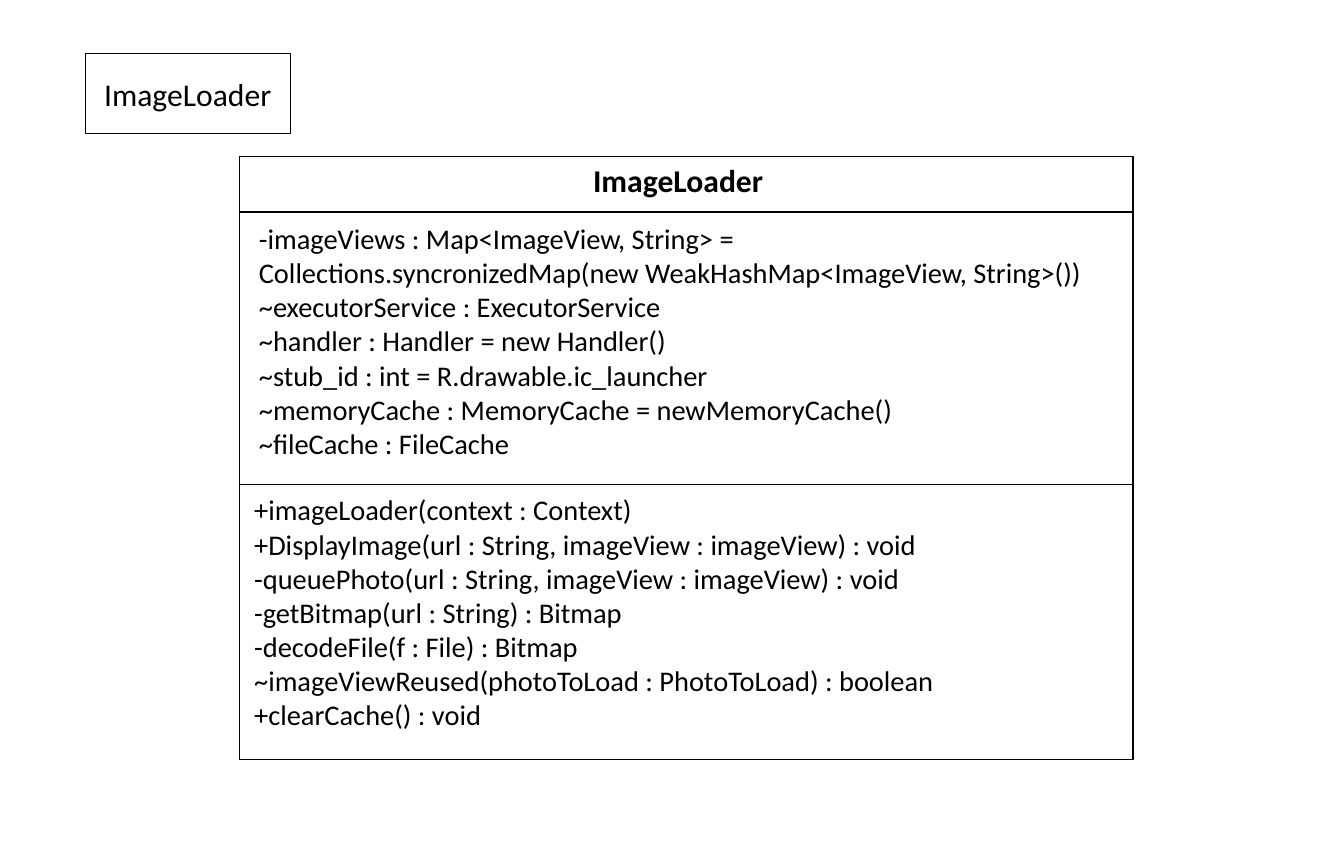
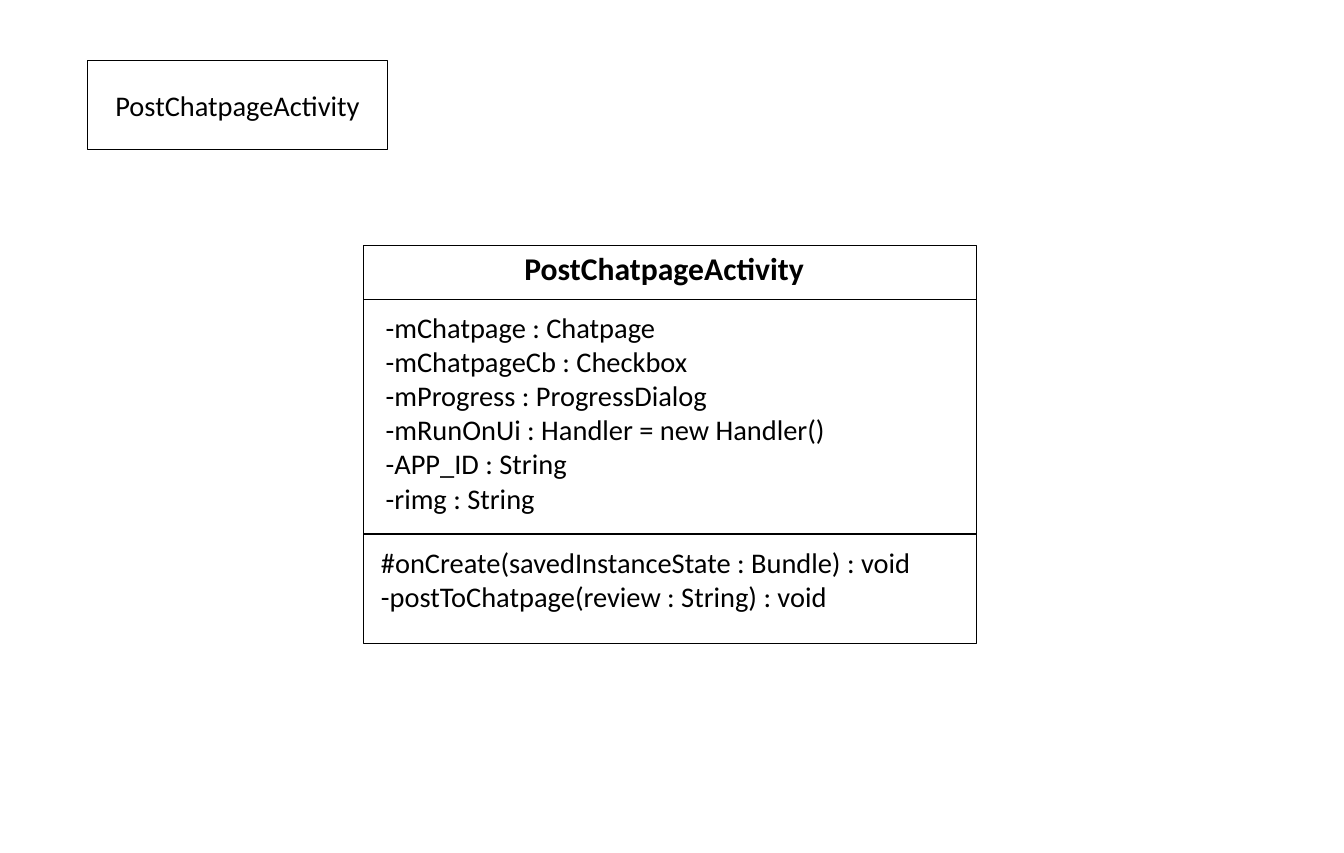
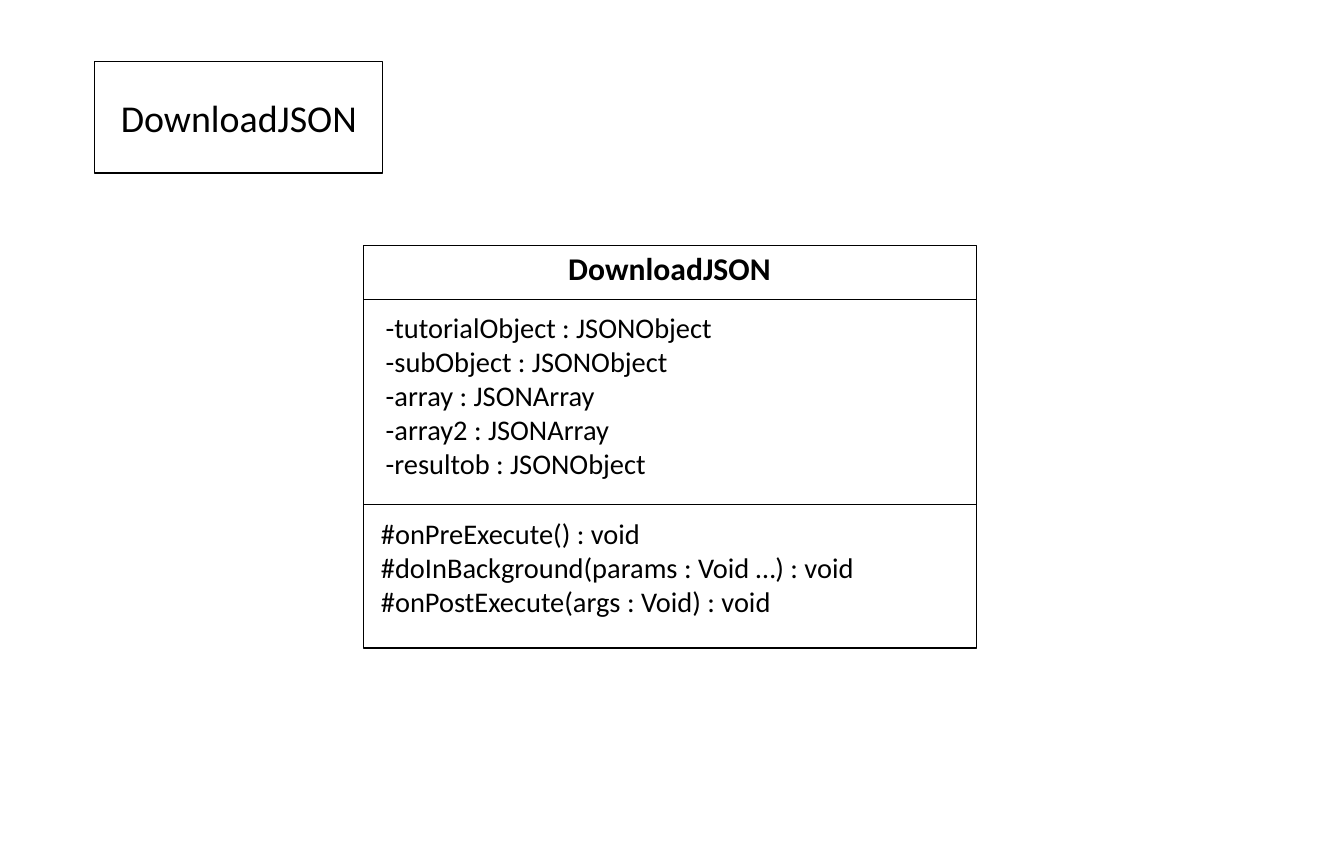
from dataclasses import dataclass
from typing import NamedTuple

from lxml.etree import SubElement
from pptx import Presentation
from pptx.dml.color import RGBColor
from pptx.enum.shapes import MSO_CONNECTOR as Conn, MSO_SHAPE as Shp
from pptx.enum.text import MSO_ANCHOR as Anchor, MSO_AUTO_SIZE as Fit, PP_ALIGN as Align
from pptx.oxml.ns import qn
from pptx.util import Pt

# Shared look: 96 px to the inch
PX = 9525
SLIDE_W, SLIDE_H = 1134, 720
COLORS = {"ink": "000000", "paper": "FFFFFF"}
FONT = "Calibri"
BOX_LINE, RULE_LINE = 0.75, 1
HEAD_SIZE, BODY_SIZE = 20, 18


class Rect(NamedTuple):
    x: int
    y: int
    w: int
    h: int


@dataclass
class TextBlock:
    rect: Rect
    paragraphs: list[str]


@dataclass
class ClassSlide:
    name: str
    label: Rect
    label_size: int
    frame: Rect
    heading: Rect
    dividers: tuple[int, int]
    attributes: TextBlock
    methods: TextBlock


def emu(*lengths: int) -> list[int]:
    return [n * PX for n in lengths]


def rgb(name: str) -> RGBColor:
    return RGBColor.from_string(COLORS[name])


def write(tf, paragraphs: list[str], size: int, bold: bool = False, align=Align.LEFT) -> None:
    for i, text in enumerate(paragraphs):
        p = tf.paragraphs[0] if i == 0 else tf.add_paragraph()
        p.alignment = align
        for j, line in enumerate(text.split("\n")):
            if j:
                p.add_line_break()
            r = p.add_run()
            r.text = line
            for key, value in {"name": FONT, "size": Pt(size), "bold": bold}.items():
                setattr(r.font, key, value)
            r.font.color.rgb = rgb("ink")


def add_box(s, rect: Rect):
    sp = s.shapes.add_shape(Shp.RECTANGLE, *emu(*rect))
    sp.shadow.inherit = False
    sp.fill.solid()
    sp.fill.fore_color.rgb = rgb("paper")
    sp.line.color.rgb = rgb("ink")
    sp.line.width = Pt(BOX_LINE)
    return sp


def add_text(s, block: TextBlock, size: int, bold: bool = False) -> None:
    tf = s.shapes.add_textbox(*emu(*block.rect)).text_frame
    for key, value in {"word_wrap": True, "auto_size": Fit.SHAPE_TO_FIT_TEXT}.items():
        setattr(tf, key, value)
    write(tf, block.paragraphs, size, bold)


def add_divider(s, frame: Rect, y: int) -> None:
    line = s.shapes.add_connector(Conn.STRAIGHT, *emu(frame.x, y, frame.x + frame.w, y))
    line.line.color.rgb = rgb("ink")
    line.line.width = Pt(RULE_LINE)
    SubElement(line._element.spPr, qn("a:effectLst"))


def add_class_slide(prs, c: ClassSlide) -> None:
    s = prs.slides.add_slide(prs.slide_layouts[6])
    # Label in the corner
    tf = add_box(s, c.label).text_frame
    tf.vertical_anchor = Anchor.MIDDLE
    write(tf, [c.name], c.label_size, align=Align.CENTER)
    # Class diagram
    add_box(s, c.frame)
    for y in c.dividers:
        add_divider(s, c.frame, y)
    add_text(s, TextBlock(c.heading, [c.name]), HEAD_SIZE, bold=True)
    for block in (c.attributes, c.methods):
        add_text(s, block, BODY_SIZE)


CLASSES = [
    ClassSlide(
        "ImageLoader", Rect(72, 45, 173, 68), 20,
        frame=Rect(202, 132, 754, 509),
        heading=Rect(491, 131, 204, 42),
        dividers=(179, 409),
        attributes=TextBlock(Rect(209, 182, 746, 213), [
            "-imageViews : Map<ImageView, String> = "
            "Collections.syncronizedMap(new WeakHashMap<ImageView, String>())\n"
            "~executorService : ExecutorService\n"
            "~handler : Handler = new Handler()",
            "~stub_id : int = R.drawable.ic_launcher",
            "~memoryCache : MemoryCache = newMemoryCache()",
            "~fileCache : FileCache",
        ]),
        methods=TextBlock(Rect(205, 411, 768, 213), [
            "+imageLoader(context : Context)\n"
            "+DisplayImage(url : String, imageView : imageView) : void",
            "-queuePhoto(url : String, imageView : imageView) : void",
            "-getBitmap(url : String) : Bitmap",
            "-decodeFile(f : File) : Bitmap",
            "~imageViewReused(photoToLoad : PhotoToLoad) : boolean",
            "+clearCache() : void",
        ]),
    ),
    ClassSlide(
        "PostChatpageActivity", Rect(74, 51, 253, 75), 18,
        frame=Rect(307, 207, 517, 336),
        heading=Rect(433, 205, 280, 42),
        dividers=(253, 451),
        attributes=TextBlock(Rect(316, 257, 436, 184), [
            "-mChatpage : Chatpage\n"
            "-mChatpageCb : Checkbox",
            "-mProgress : ProgressDialog",
            "-mRunOnUi : Handler = new Handler()",
            "-APP_ID : String",
            "-rimg : String",
        ]),
        methods=TextBlock(Rect(312, 455, 554, 68), [
            "#onCreate(savedInstanceState : Bundle) : void\n"
            "-postToChatpage(review : String) : void",
        ]),
    ),
    ClassSlide(
        "DownloadJSON", Rect(80, 52, 243, 94), 24,
        frame=Rect(307, 207, 517, 340),
        heading=Rect(470, 205, 198, 42),
        dividers=(253, 426),
        attributes=TextBlock(Rect(316, 257, 436, 156), [
            "-tutorialObject : JSONObject\n"
            "-subObject : JSONObject",
            "-array : JSONArray",
            "-array2 : JSONArray",
            "-resultob : JSONObject",
        ]),
        methods=TextBlock(Rect(312, 431, 466, 97), [
            "#onPreExecute() : void\n"
            "#doInBackground(params : Void …) : void",
            "#onPostExecute(args : Void) : void",
        ]),
    ),
]


def main() -> None:
    prs = Presentation()
    prs.slide_width, prs.slide_height = emu(SLIDE_W, SLIDE_H)
    for c in CLASSES:
        add_class_slide(prs, c)
    prs.save("out.pptx")


if __name__ == "__main__":
    main()
